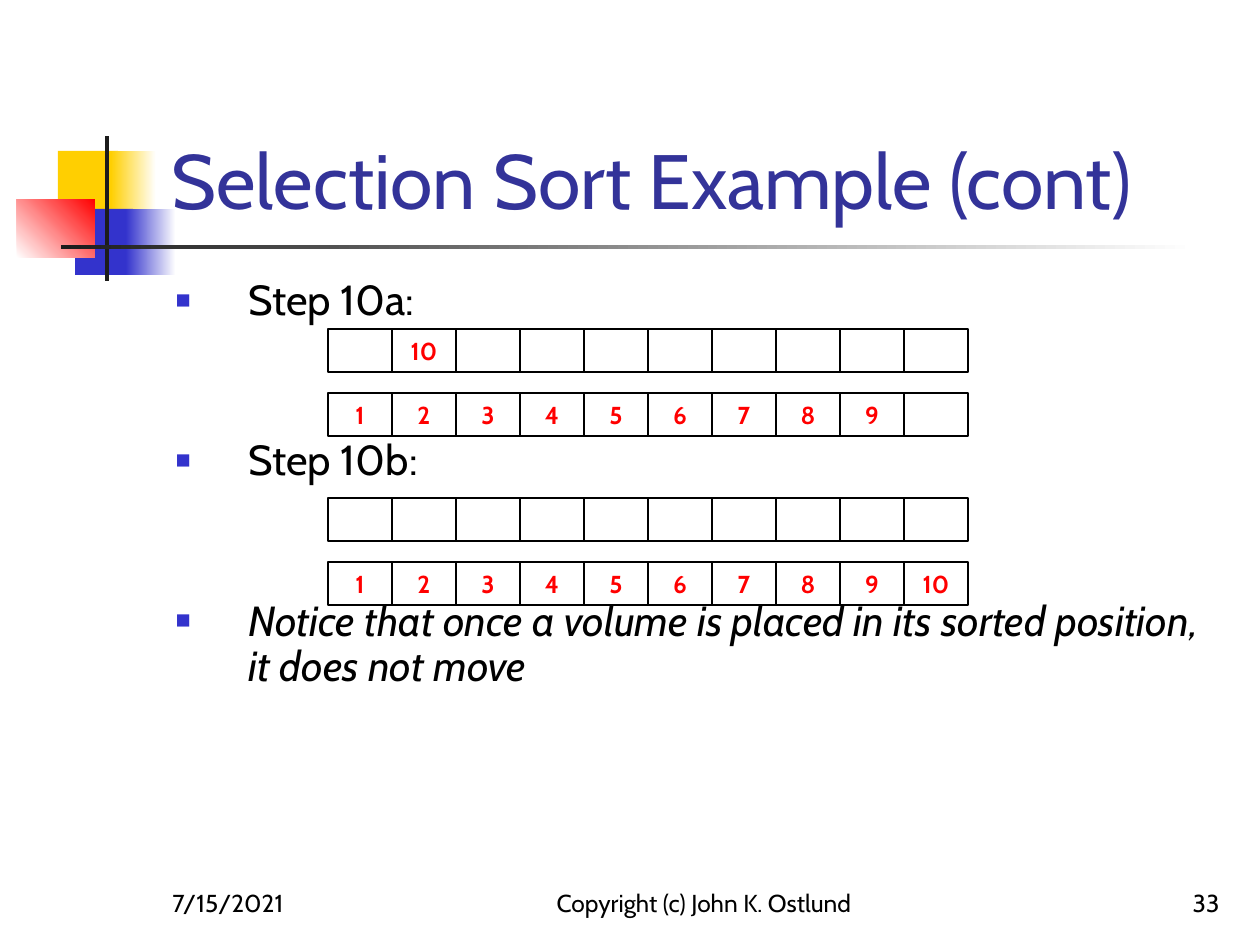
import dataclasses
import typing

import pptx
import pptx.dml.color
import pptx.enum.dml
import pptx.enum.shapes
import pptx.enum.text
import pptx.util
from lxml import etree

EMU_PER_PX = pptx.util.Inches(1) / 126
Align = pptx.enum.text.PP_ALIGN
Anchor = pptx.enum.text.MSO_ANCHOR


@dataclasses.dataclass(frozen=True)
class Theme:
    font: str = "Cabin"
    title: str = "333399"
    text: str = "000000"
    value: str = "FF0000"
    paper: str = "FFFFFF"
    yellow: str = "FFCF01"
    blue: str = "3333CC"
    red: str = "FF0000"
    dark: str = "1C1C1C"
    title_size: int = 44
    body_size: int = 24
    small_size: int = 14


THEME = Theme()


class Area(typing.NamedTuple):
    left: int
    top: int
    width: int
    height: int


class Block(typing.NamedTuple):
    area: Area
    colors: tuple[str, ...]
    angle: int = 0


class Footer(typing.NamedTuple):
    area: Area
    text: str
    align: Align


class Step(typing.NamedTuple):
    top: int
    unsorted: dict[int, str]
    sorted_count: int


BLOCKS = [
    Block(Area(58, 151, 60, 66), (THEME.yellow,)),
    Block(Area(111, 151, 45, 66), (THEME.yellow, THEME.paper)),
    Block(Area(75, 209, 58, 66), (THEME.blue,)),
    Block(Area(126, 209, 50, 66), (THEME.blue, THEME.paper)),
    Block(Area(17, 199, 78, 59), (THEME.paper, THEME.red), 45),
    Block(Area(105, 136, 4, 145), (THEME.dark,)),
    Block(Area(61, 245, 1134, 4), (THEME.dark, THEME.paper)),
]
FOOTERS = [
    Footer(Area(160, 861, 262, 63), "7/15/2021", Align.LEFT),
    Footer(Area(504, 861, 400, 63), "Copyright (c) John K. Ostlund", Align.CENTER),
    Footer(Area(970, 861, 262, 63), "33", Align.RIGHT),
]
STEPS = [Step(329, {1: "10"}, 9), Step(498, {}, 10)]
BULLETS = [
    ("Step 10a:", False),
    ("Step 10b:", False),
    ("Notice that once a volume is placed in its sorted position, it does not move", True),
]
CELL_COUNT = 10
CELL_LEFT = 328
CELL_WIDTH = 64
CELL_HEIGHT = 43
ROW_PITCH = 64
BULLET_GAP = 115
BULLET_INDENT = 73


def px(length: int) -> int:
    return round(length * EMU_PER_PX)


def rgb(color: str) -> pptx.dml.color.RGBColor:
    return pptx.dml.color.RGBColor.from_string(color)


def place(shape, area: Area) -> None:
    shape.left, shape.top, shape.width, shape.height = map(px, area)


def set_font(para, size: int, color: str, bold: bool = False, italic: bool = False) -> None:
    para.font.name = THEME.font
    para.font.size = pptx.util.Pt(size)
    para.font.color.rgb = rgb(color)
    para.font.bold = bold
    para.font.italic = italic


def add_rectangle(shapes, area: Area):
    box = shapes.add_shape(pptx.enum.shapes.MSO_SHAPE.RECTANGLE, *map(px, area))
    box.shadow.inherit = False
    return box


def draw_block(page, block: Block) -> None:
    box = add_rectangle(page.shapes, block.area)
    box.line.fill.background()
    if len(block.colors) == 1:
        box.fill.solid()
        box.fill.fore_color.rgb = rgb(block.colors[0])
        return
    box.fill.gradient()
    box.fill.gradient_angle = block.angle
    for stop, color in zip(box.fill.gradient_stops, block.colors):
        stop.color.rgb = rgb(color)


def draw_cell(shapes, area: Area, value: str) -> None:
    box = add_rectangle(shapes, area)
    box.fill.background()
    box.line.color.rgb = rgb(THEME.text)
    box.line.width = pptx.util.Pt(0.75)
    if value:
        box.text_frame.text = value
        box.text_frame.vertical_anchor = Anchor.MIDDLE
        para = box.text_frame.paragraphs[0]
        para.alignment = Align.CENTER
        set_font(para, THEME.small_size, THEME.value, bold=True)


def draw_step(page, step: Step) -> None:
    group = page.shapes.add_group_shape()
    ordered = {index: str(index + 1) for index in range(step.sorted_count)}
    for row, values in enumerate((step.unsorted, ordered)):
        for column in range(CELL_COUNT):
            area = Area(CELL_LEFT + column * CELL_WIDTH, step.top + row * ROW_PITCH,
                        CELL_WIDTH, CELL_HEIGHT)
            draw_cell(group.shapes, area, values.get(column, ""))


def draw_footer(page, footer: Footer) -> None:
    box = page.shapes.add_textbox(*map(px, footer.area))
    frame = box.text_frame
    frame.word_wrap = True
    frame.vertical_anchor = Anchor.BOTTOM
    frame.text = footer.text
    frame.paragraphs[0].alignment = footer.align
    set_font(frame.paragraphs[0], THEME.small_size, THEME.text)


def add_bullet(para) -> None:
    properties = para._p.get_or_add_pPr()
    properties.set("marL", str(px(BULLET_INDENT)))
    properties.set("indent", str(-px(BULLET_INDENT)))
    namespace = "{http://schemas.openxmlformats.org/drawingml/2006/main}"
    color = etree.SubElement(properties, namespace + "buClr")
    etree.SubElement(color, namespace + "srgbClr", val=THEME.blue)
    etree.SubElement(properties, namespace + "buSzPct", val="60000")
    etree.SubElement(properties, namespace + "buChar", char="■")


def fill_title(title) -> None:
    place(title, Area(159, 29, 1074, 202))
    frame = title.text_frame
    frame.text = "Selection Sort Example (cont)"
    frame.auto_size = pptx.enum.text.MSO_AUTO_SIZE.NONE
    frame.vertical_anchor = Anchor.BOTTOM
    frame.paragraphs[0].alignment = Align.LEFT
    set_font(frame.paragraphs[0], THEME.title_size, THEME.title)


def fill_body(body) -> None:
    place(body, Area(163, 273, 1071, 567))
    frame = body.text_frame
    frame.text = "\n".join(text for text, _ in BULLETS)
    frame.auto_size = pptx.enum.text.MSO_AUTO_SIZE.NONE
    for index, (para, (_, italic)) in enumerate(zip(frame.paragraphs, BULLETS)):
        add_bullet(para)
        para.line_spacing = 0.9
        para.space_before = px(BULLET_GAP) if index else 0
        set_font(para, THEME.body_size, THEME.text, italic=italic)


def main() -> None:
    deck = pptx.Presentation()
    deck.slide_width, deck.slide_height = px(1260), px(945)
    page = deck.slides.add_slide(deck.slide_layouts[1])
    for block in BLOCKS:
        draw_block(page, block)
    fill_title(page.shapes.title)
    fill_body(page.placeholders[1])
    for footer in FOOTERS:
        draw_footer(page, footer)
    for step in STEPS:
        draw_step(page, step)
    deck.save("out.pptx")


if __name__ == "__main__":
    main()
